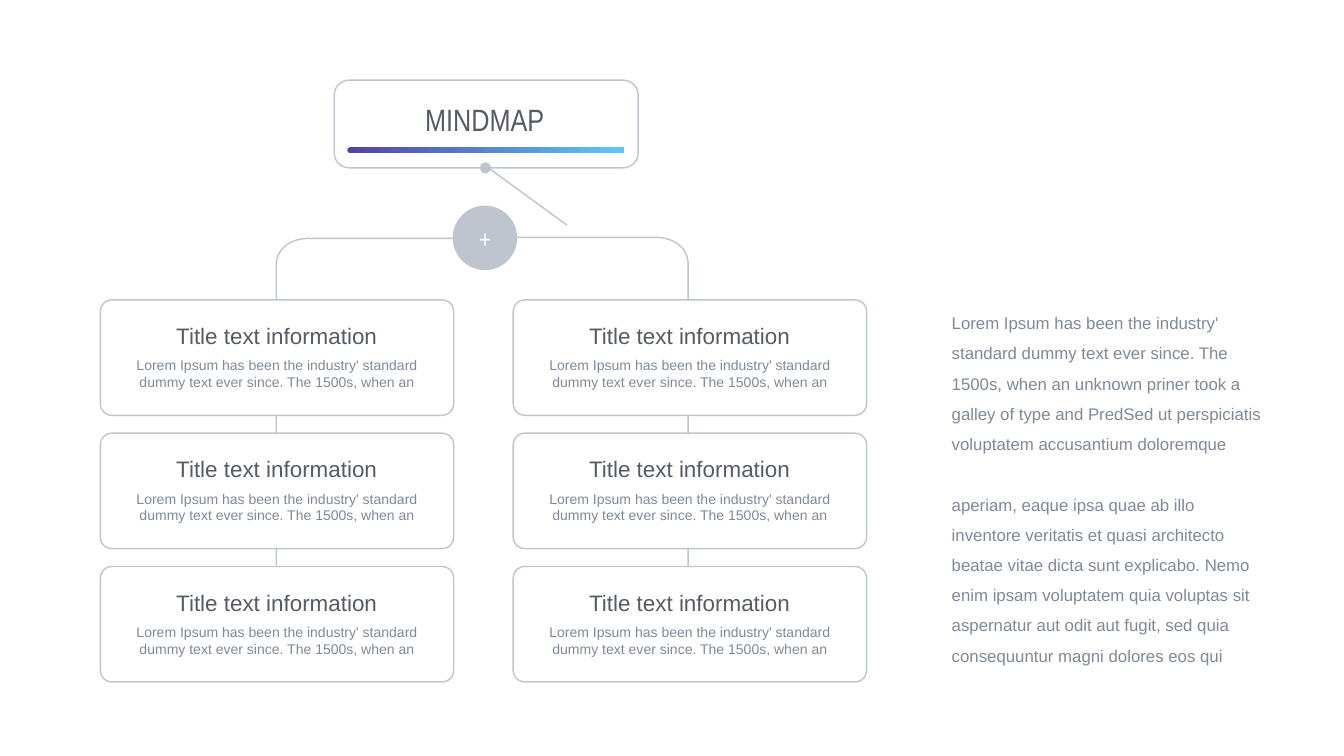
from lxml import etree
from pptx import Presentation
from pptx.dml.color import RGBColor
from pptx.enum.shapes import MSO_CONNECTOR, MSO_SHAPE
from pptx.enum.text import MSO_ANCHOR, MSO_AUTO_SIZE, PP_ALIGN
from pptx.oxml.ns import qn
from pptx.util import Inches, Pt

GREY = RGBColor(0xBF, 0xC5, 0xCE)
DARK = RGBColor(0x55, 0x5B, 0x64)
MUTED = RGBColor(0x7F, 0x89, 0x98)
WHITE = RGBColor(0xFF, 0xFF, 0xFF)
VIOLET = RGBColor(0x52, 0x42, 0xA5)
SKY = RGBColor(0x5E, 0xC8, 0xF5)

OVAL, ROUNDED = MSO_SHAPE.OVAL, MSO_SHAPE.ROUNDED_RECTANGLE
STRAIGHT = MSO_CONNECTOR.STRAIGHT
LEFT, CENTER = PP_ALIGN.LEFT, PP_ALIGN.CENTER
TOP, MIDDLE = MSO_ANCHOR.TOP, MSO_ANCHOR.MIDDLE
GROW = MSO_AUTO_SIZE.SHAPE_TO_FIT_TEXT

CARD_LEFT, CARD_TOP = 1.99, 5.95
CARD_WIDTH, CARD_HEIGHT = 7.01, 2.29
COLUMN_STEP, ROW_STEP = 8.19, 2.645
COLUMNS, ROWS = 2, 3
CARD_TITLE = "Title text information"
CARD_BODY = ("Lorem Ipsum has been the industry' standard dummy text ever since. "
             "The 1500s, when an")
SIDE_TEXT = (
    "Lorem Ipsum has been the industry' standard dummy text ever since. "
    "The 1500s, when an unknown priner took a galley of type and PredSed "
    "ut perspiciatis voluptatem accusantium doloremque",
    "aperiam, eaque ipsa quae ab illo inventore veritatis et quasi architecto "
    "beatae vitae dicta sunt explicabo. Nemo enim ipsam voluptatem quia voluptas "
    "sit aspernatur aut odit aut fugit, sed quia consequuntur magni dolores eos qui",
)


def add_text(slide, box, *texts, size, color, font="Arial", align=CENTER, anchor=TOP,
             margins=(0.1, 0.05), wrap=True, line_spacing=None, gap=0):
    """Add a text box with one paragraph for each text."""
    shape = slide.shapes.add_textbox(*map(Inches, box))
    frame = shape.text_frame
    frame.word_wrap = wrap
    frame.auto_size = GROW
    frame.vertical_anchor = anchor
    frame.margin_left = frame.margin_right = Inches(margins[0])
    frame.margin_top = frame.margin_bottom = Inches(margins[1])
    for index, text in enumerate(texts):
        paragraph = frame.add_paragraph() if index else frame.paragraphs[0]
        paragraph.text = text
        paragraph.alignment = align
        if line_spacing:
            paragraph.line_spacing = line_spacing
        if index:
            paragraph.space_before = Pt(gap)
        paragraph.font.size = Pt(size)
        paragraph.font.name = font
        paragraph.font.color.rgb = color


def add_outline(shape, color=GREY):
    """Give a shape or connector the diagram's line."""
    shape.line.color.rgb = color
    shape.line.width = Pt(2)


def add_block(slide, kind, box, fill=None, outlined=False, corner=None):
    """Add a preset shape with an optional fill, outline and corner radius."""
    shape = slide.shapes.add_shape(kind, *map(Inches, box))
    shape.shadow.inherit = False
    if corner is not None:
        shape.adjustments[0] = corner
    if fill is None:
        shape.fill.background()
    else:
        shape.fill.solid()
        shape.fill.fore_color.rgb = fill
    if outlined:
        add_outline(shape)
    else:
        shape.line.fill.background()
    return shape


def add_gradient_bar(slide, box):
    """Add the rounded bar that fades from violet to sky blue."""
    bar = add_block(slide, ROUNDED, box, corner=0.5)
    bar.fill.gradient()
    bar.fill.gradient_angle = 0
    for stop, color, position in zip(bar.fill.gradient_stops, (VIOLET, SKY), (0, 1)):
        stop.color.rgb = color
        stop.position = position


def add_line(slide, start, end):
    """Add a straight connector between two points."""
    connector = slide.shapes.add_connector(STRAIGHT, *map(Inches, (*start, *end)))
    add_outline(connector)
    etree.SubElement(connector._element.spPr, qn("a:effectLst"))


def add_branch(slide, start_x, trunk_x, y, steps=16):
    """Add a line from the hub that bends down into a column's trunk."""
    side = 1 if start_x > trunk_x else -1
    controls = ((0.66, 0), (0.19, 0), (0, 0.29), (0, 0.52))
    points = []
    for step in range(steps + 1):
        t = step / steps
        weights = ((1 - t) ** 3, 3 * t * (1 - t) ** 2, 3 * t * t * (1 - t), t ** 3)
        dx, dy = (sum(weight * control[axis] for weight, control in zip(weights, controls))
                  for axis in (0, 1))
        points.append((Inches(trunk_x + side * dx), Inches(y + dy)))
    points.append((Inches(trunk_x), Inches(y + 8.24)))
    builder = slide.shapes.build_freeform(Inches(start_x), Inches(y))
    builder.add_line_segments(points, close=False)
    branch = builder.convert_to_shape()
    branch.shadow.inherit = False
    branch.fill.background()
    add_outline(branch)


def add_card(slide, left, top):
    """Add one card with its title and body."""
    add_block(slide, ROUNDED, (left, top, CARD_WIDTH, CARD_HEIGHT), WHITE, True, 0.1)
    add_text(slide, (left + 0.21, top + 1.08, 6.59, 0.77), CARD_BODY, size=20, color=MUTED)
    add_text(slide, (left + 1.4, top + 0.39, 4.2, 0.64), CARD_TITLE,
             size=32, color=DARK, wrap=False)


def add_header(slide):
    """Add the mind map's heading box and the line that leaves it."""
    add_block(slide, OVAL, (9.52, 3.22, 0.22, 0.22), GREY)
    add_block(slide, ROUNDED, (6.63, 1.59, 6.03, 1.74), outlined=True, corner=0.17)
    add_gradient_bar(slide, (6.89, 2.92, 5.5, 0.12))
    add_text(slide, (7.4, 1.94, 4.43, 0.84), "MINDMAP", size=44, color=DARK,
             font="Arial Narrow", anchor=MIDDLE, margins=(0.06, 0.06))
    add_line(slide, (9.63, 3.29), (11.25, 4.47))


def add_hub(slide):
    """Add the plus circle and its two branches."""
    add_branch(slide, 9.71, 5.48, 4.73)
    add_branch(slide, 9.62, 13.65, 4.71)
    add_block(slide, OVAL, (8.98, 4.08, 1.28, 1.28), GREY)
    add_text(slide, (8.98, 4.37, 1.29, 0.71), "+", size=36, color=WHITE,
             font="Arial Narrow", anchor=MIDDLE, margins=(0.06, 0.06))


def main():
    """Build the mind map slide and save it."""
    presentation = Presentation()
    presentation.slide_width = Inches(26.66)
    presentation.slide_height = Inches(15)
    slide = presentation.slides.add_slide(presentation.slide_layouts[6])
    add_header(slide)
    add_hub(slide)
    for column in range(COLUMNS):
        for row in range(ROWS):
            add_card(slide, CARD_LEFT + column * COLUMN_STEP, CARD_TOP + row * ROW_STEP)
    add_text(slide, (18.78, 5.96, 6.36, 7.3), *SIDE_TEXT, size=24, color=MUTED,
             align=LEFT, line_spacing=1.5, gap=43)
    presentation.save("out.pptx")


if __name__ == "__main__":
    main()
